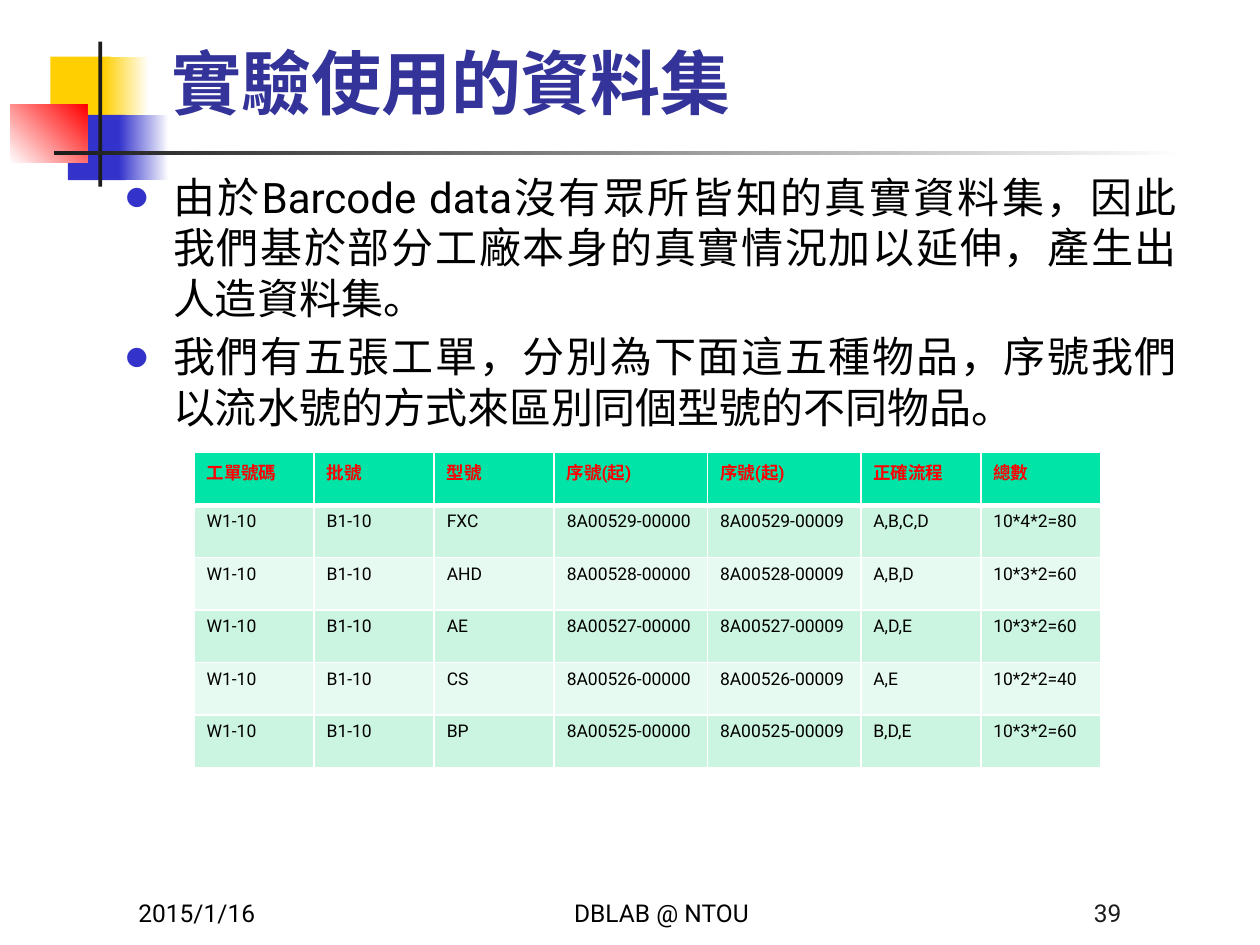
from lxml.etree import SubElement
from pptx import Presentation
from pptx.dml.color import RGBColor
from pptx.enum.shapes import MSO_SHAPE
from pptx.enum.text import MSO_ANCHOR, PP_ALIGN
from pptx.oxml.ns import qn
from pptx.util import Pt

FONT = "Roboto"
YELLOW = RGBColor(0xFF, 0xCF, 0x01)
BLUE = RGBColor(0x33, 0x33, 0xCC)
NAVY = RGBColor(0x33, 0x33, 0x99)
RED = RGBColor(0xFF, 0x00, 0x00)
INK = RGBColor(0x1C, 0x1C, 0x1C)
BLACK = RGBColor(0x00, 0x00, 0x00)
WHITE = RGBColor(0xFF, 0xFF, 0xFF)
HEADER_GREEN = RGBColor(0x00, 0xE4, 0xA8)
BAND_GREENS = (RGBColor(0xCC, 0xF5, 0xE1), RGBColor(0xE7, 0xFA, 0xF1))

TITLE = "實驗使用的資料集"
POINTS = [
    "由於Barcode data沒有眾所皆知的真實資料集，因此我們基於部分工廠本身的真實情況加以延伸，產生出人造資料集。",
    "我們有五張工單，分別為下面這五種物品，序號我們以流水號的方式來區別同個型號的不同物品。",
]
HEADERS = ["工單號碼", "批號", "型號", "序號(起)", "序號(起)", "正確流程", "總數"]
ORDERS = [
    ("FXC", "8A00529", "A,B,C,D", "10*4*2=80"),
    ("AHD", "8A00528", "A,B,D", "10*3*2=60"),
    ("AE", "8A00527", "A,D,E", "10*3*2=60"),
    ("CS", "8A00526", "A,E", "10*2*2=40"),
    ("BP", "8A00525", "B,D,E", "10*3*2=60"),
]
COLUMN_WIDTHS = [68.6, 68.6, 68.6, 87.6, 87.6, 68.6, 68.6]


def style_text(paragraph, size, color, bold=False):
    for run in paragraph.runs:
        run.font.name = FONT
        run.font.size = Pt(size)
        run.font.bold = bold
        run.font.color.rgb = color


def add_block(slide, left, top, width, height, start, end=None, angle=0):
    block = slide.shapes.add_shape(
        MSO_SHAPE.RECTANGLE, Pt(left), Pt(top), Pt(width), Pt(height))
    block.shadow.inherit = False
    block.line.fill.background()
    if end is None:
        block.fill.solid()
        block.fill.fore_color.rgb = start
        return
    block.fill.gradient()
    block.fill.gradient_angle = angle
    for stop, color, position in zip(block.fill.gradient_stops, (start, end), (0, 1)):
        stop.color.rgb = color
        stop.position = position


def add_emblem(slide, left, top):
    add_block(slide, left + 23, top + 8.6, 34.6, 37.4, YELLOW)
    add_block(slide, left + 53.2, top + 8.6, 26, 37.4, YELLOW, WHITE)
    add_block(slide, left + 33, top + 41.8, 33, 37.4, BLUE)
    add_block(slide, left + 62, top + 41.8, 28.8, 37.4, BLUE, WHITE)
    add_block(slide, left, top + 36, 44, 33.2, WHITE, RED, angle=45)
    add_block(slide, left + 50.4, top, 2.2, 82.8, INK)
    add_block(slide, left + 25.2, top + 62.6, 648, 2.2, INK, WHITE)


def place_title(slide, left, top, width, height):
    title = slide.shapes.title
    title.left, title.top, title.width, title.height = map(
        Pt, (left, top, width, height))
    frame = title.text_frame
    frame.text = TITLE
    frame.vertical_anchor = MSO_ANCHOR.BOTTOM
    frame.paragraphs[0].alignment = PP_ALIGN.LEFT
    style_text(frame.paragraphs[0], 40, NAVY, True)


def add_bullet(paragraph):
    properties = paragraph._p.get_or_add_pPr()
    properties.set("marL", str(Pt(27)))
    properties.set("indent", str(Pt(-27)))
    color = SubElement(properties, qn("a:buClr"))
    SubElement(color, qn("a:srgbClr"), val=str(BLUE))
    SubElement(properties, qn("a:buSzPct"), val="60000")
    SubElement(properties, qn("a:buFont"), typeface=FONT)
    SubElement(properties, qn("a:buChar"), char="●")


def add_points(slide, left, top, width, height):
    frame = slide.shapes.add_textbox(
        Pt(left), Pt(top), Pt(width), Pt(height)).text_frame
    frame.word_wrap = True
    for index, point in enumerate(POINTS):
        paragraph = frame.add_paragraph() if index else frame.paragraphs[0]
        paragraph.text = point
        add_bullet(paragraph)
        paragraph.alignment = PP_ALIGN.JUSTIFY
        if index:
            paragraph.space_before = Pt(4.8)
        style_text(paragraph, 24, BLACK)


def add_borders(cell, bottom):
    properties = cell._tc.get_or_add_tcPr()
    for side, width in (("L", 1), ("R", 1), ("T", 1), ("B", bottom)):
        line = SubElement(properties, qn(f"a:ln{side}"), w=str(Pt(width)))
        fill = SubElement(line, qn("a:solidFill"))
        SubElement(fill, qn("a:srgbClr"), val=str(WHITE))


def add_orders(slide, left, top, width, height):
    rows = [HEADERS] + [
        ["W1-10", "B1-10", model, f"{serial}-00000", f"{serial}-00009", flow, total]
        for model, serial, flow, total in ORDERS]
    table = slide.shapes.add_table(
        len(rows), len(HEADERS), Pt(left), Pt(top), Pt(width), Pt(height)).table
    for column, column_width in zip(table.columns, COLUMN_WIDTHS):
        column.width = Pt(column_width)
    for r, values in enumerate(rows):
        is_header = r == 0
        table.rows[r].height = Pt(height / len(rows))
        for c, value in enumerate(values):
            cell = table.cell(r, c)
            cell.text = value
            add_borders(cell, 3 if is_header else 1)
            cell.fill.solid()
            cell.fill.fore_color.rgb = HEADER_GREEN if is_header else BAND_GREENS[(r - 1) % 2]
            style_text(cell.text_frame.paragraphs[0], 10,
                       RED if is_header else BLACK, is_header)


def add_footer(slide, left, top, width, height):
    side = 150
    entries = [
        ("2015/1/16", left, side, PP_ALIGN.LEFT, BLACK),
        ("DBLAB @ NTOU", left + 192, 228, PP_ALIGN.CENTER, BLACK),
        ("39", left + width - side, side, PP_ALIGN.RIGHT, INK),
    ]
    for text, entry_left, entry_width, alignment, color in entries:
        frame = slide.shapes.add_textbox(
            Pt(entry_left), Pt(top), Pt(entry_width), Pt(height)).text_frame
        frame.word_wrap = True
        frame.vertical_anchor = MSO_ANCHOR.BOTTOM
        frame.text = text
        frame.paragraphs[0].alignment = alignment
        style_text(frame.paragraphs[0], 14, color)


def main():
    deck = Presentation()
    deck.slide_width, deck.slide_height = Pt(720), Pt(540)
    slide = deck.slides.add_slide(deck.slide_layouts[5])
    add_emblem(slide, 5.8, 23.8)
    place_title(slide, 90.7, 12.2, 613.4, 62)
    add_points(slide, 64.8, 94.3, 615, 390)
    add_footer(slide, 72, 497.5, 576, 36)
    add_orders(slide, 110.9, 258.7, sum(COLUMN_WIDTHS), 180)
    deck.save("out.pptx")


if __name__ == "__main__":
    main()
